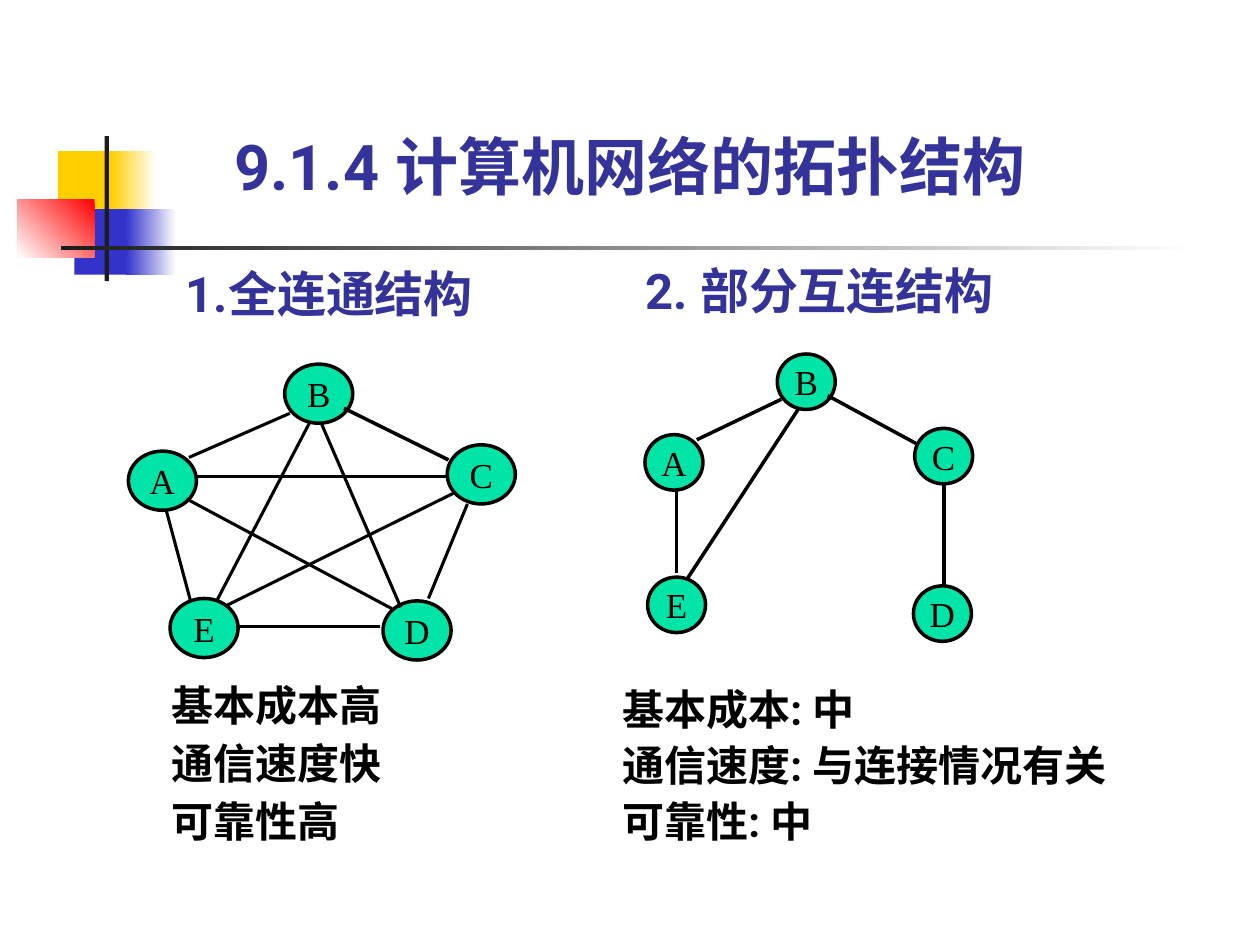
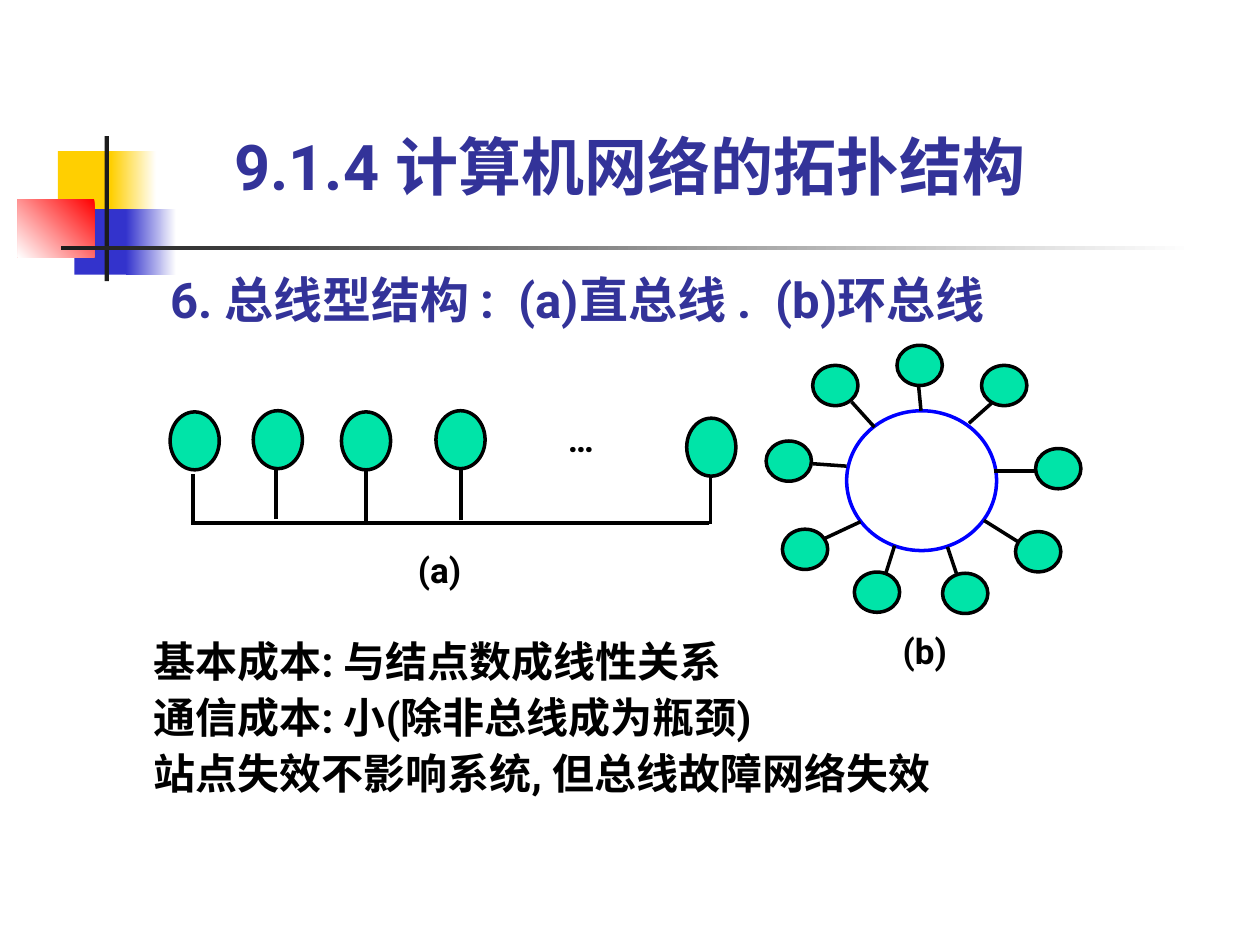
"""Build two slides on network topologies: mesh and partial links, then line and ring buses."""
from lxml import etree
from pptx import Presentation
from pptx.dml import color
from pptx.enum import shapes, text
from pptx.oxml import ns
from pptx.util import Pt

BLACK, INDIGO, GREEN, WHITE = "000000", "333399", "00E4A8", "FFFFFF"
YELLOW, BLUE, RED, CHARCOAL, RING_BLUE = "FFCF01", "3333CC", "FF0000", "1C1C1C", "0000FF"
LEFT, CENTER = text.PP_ALIGN.LEFT, text.PP_ALIGN.CENTER
TOP, MIDDLE, BOTTOM = text.MSO_ANCHOR.TOP, text.MSO_ANCHOR.MIDDLE, text.MSO_ANCHOR.BOTTOM


def rgb(hex_string):
    """Turn a hex string into a colour."""
    return color.RGBColor.from_string(hex_string)


def write_text(shape, content, size=24, font="Roboto", ink=BLACK, bold=True,
               align=LEFT, anchor=TOP, spacing=1.0, before=0):
    """Fill a shape with one paragraph per line of content."""
    frame = shape.text_frame
    frame.text = content
    frame.word_wrap = True
    frame.auto_size = text.MSO_AUTO_SIZE.NONE
    frame.vertical_anchor = anchor
    frame.margin_left = frame.margin_right = frame.margin_top = frame.margin_bottom = 0
    for index, paragraph in enumerate(frame.paragraphs):
        paragraph.alignment = align
        paragraph.line_spacing = spacing
        paragraph.space_before = Pt(before if index else 0)
        paragraph.font.name = font
        paragraph.font.size = Pt(size)
        paragraph.font.bold = bold
        paragraph.font.color.rgb = rgb(ink)


presentation = Presentation()
presentation.slide_width, presentation.slide_height = Pt(720), Pt(540)
layout = presentation.slide_layouts[5]
links_slide = presentation.slides.add_slide(layout)
bus_slide = presentation.slides.add_slide(layout)

# Shared decoration, moved to the layout: place, colours, gradient angle
decorations = [
    ((33.1, 86.4, 34.6, 37.4), [YELLOW], 0),
    ((63.4, 86.4, 25.9, 37.4), [YELLOW, WHITE], 0),
    ((42.5, 119.5, 33.1, 37.4), [BLUE], 0),
    ((72, 119.5, 28.8, 37.4), [BLUE, WHITE], 0),
    ((10.1, 113.8, 43.9, 33.1), [RED, WHITE], 225),
    ((59.8, 77.8, 2.4, 82.8), [CHARCOAL], 0),
    ((34.6, 140.4, 648, 2.4), [CHARCOAL, WHITE], 0),
]
for place, colours, angle in decorations:
    shape = links_slide.shapes.add_shape(shapes.MSO_SHAPE.RECTANGLE, *map(Pt, place))
    shape.shadow.inherit = False
    shape.line.fill.background()
    if len(colours) == 1:
        shape.fill.solid()
        shape.fill.fore_color.rgb = rgb(colours[0])
    else:
        shape.fill.gradient()
        shape.fill.gradient_angle = angle
        for stop, colour in zip(shape.fill.gradient_stops, colours):
            stop.color.rgb = rgb(colour)
    layout.shapes.element.append(shape.element)

for slide in (links_slide, bus_slide):
    title = slide.shapes.title
    title.left, title.top, title.width, title.height = map(Pt, (133.9, 73.4, 491.8, 42.5))
    write_text(title, "9.1.4 计算机网络的拓扑结构", size=36, ink=INDIGO,
               anchor=BOTTOM, spacing=0.8)

# Nodes: slide, size, then left, top and label of each
node_groups = [
    (links_slide, (38.9, 33.8), [
        (73.4, 257.8, "A"), (97.2, 342, "E"), (218.9, 343.4, "D"),
        (255.6, 254.2, "C"), (162.7, 208.1, "B")]),
    (links_slide, (33.1, 31.7), [
        (368.6, 248.4, "A"), (370.1, 329.8, "E"), (522, 334.8, "D"),
        (522.7, 244.8, "C"), (444.2, 202.3, "B")]),
    (bus_slide, (28.1, 33.1), [
        (97.2, 235.4, ""), (144.7, 234.7, ""), (195.1, 235.4, ""),
        (249.1, 234.7, ""), (392.4, 239, "")]),
    (bus_slide, (25.9, 23), [
        (464.4, 208.8, ""), (512.6, 197.3, ""), (560.9, 208.8, ""),
        (437.8, 252, ""), (447.1, 302.4, ""), (488.2, 326.9, ""),
        (538.6, 327.6, ""), (580.3, 303.8, ""), (591.8, 256.3, "")]),
]
for slide, size, nodes in node_groups:
    for left, top, label in nodes:
        node = slide.shapes.add_shape(shapes.MSO_SHAPE.OVAL, *map(Pt, (left, top, *size)))
        node.shadow.inherit = False
        node.fill.solid()
        node.fill.fore_color.rgb = rgb(GREEN)
        node.line.color.rgb = rgb(BLACK)
        node.line.width = Pt(2)
        if label:
            write_text(node, label, size=20, font="Times New Roman", bold=False,
                       align=CENTER, anchor=MIDDLE)

ring = bus_slide.shapes.add_shape(shapes.MSO_SHAPE.OVAL, *map(Pt, (483.8, 234.7, 85.7, 79.9)))
ring.shadow.inherit = False
ring.fill.background()
ring.line.color.rgb = rgb(RING_BLUE)
ring.line.width = Pt(2)

# Links: slide, line width, then start and end of each
link_groups = [
    (links_slide, 2, [
        (256.3, 272.2, 112.3, 272.2), (256.3, 262.8, 196.6, 233.3)]),
    (links_slide, 1.75, [
        (217.4, 357.8, 136.8, 357.8), (165.6, 236.2, 108, 261.4),
        (108.7, 342.7, 95, 291.6), (267.1, 288, 244.8, 342),
        (177.1, 241.2, 123.8, 343.4), (229, 347, 183.6, 241.9),
        (259.9, 281.5, 128.9, 346.3), (223.9, 347.8, 106.6, 285.1)]),
    (links_slide, 2, [
        (523.4, 253.4, 473, 226.1), (446.4, 228.2, 398.2, 251.3),
        (386.6, 327.6, 386.6, 279.4), (539.3, 277.2, 539.3, 334.8),
        (456.5, 233.3, 392.4, 331.2)]),
    (bus_slide, 2, [
        (405.4, 298.8, 109.4, 298.8), (110.2, 298.8, 110.2, 270.7),
        (157.7, 296.6, 157.7, 267.8), (209.2, 298, 209.2, 269.3),
        (263.5, 297.4, 263.5, 268.6), (406.1, 299.5, 406.1, 271.4)]),
    (bus_slide, 2, [
        (486.7, 229.7, 499.7, 244.1), (524.9, 220.3, 526.3, 234.7),
        (566.6, 230.4, 553.7, 241.9), (464.4, 265, 483.8, 266.4),
        (470.2, 308.2, 491.8, 298.1), (568.1, 269.3, 592.6, 269.3),
        (562.3, 297.4, 581.8, 309.6), (541.4, 312.5, 546.5, 327.6),
        (511.2, 311.8, 506.2, 327.6)]),
]
for slide, width, links in link_groups:
    for ends in links:
        link = slide.shapes.add_connector(shapes.MSO_CONNECTOR.STRAIGHT, *map(Pt, ends))
        link.line.color.rgb = rgb(BLACK)
        link.line.width = Pt(width)
        etree.SubElement(link.element.spPr, ns.qn("a:effectLst"))

heading = {"size": 28, "ink": INDIGO, "align": CENTER, "anchor": MIDDLE}
caption = {"size": 20, "align": CENTER, "anchor": MIDDLE}
remarks = {"spacing": 0.9, "before": 6}
text_boxes = [
    (links_slide, (97.5, 150.5, 181.4, 33.8), "1.全连通结构", heading),
    (links_slide, (352.1, 149, 232.6, 33.8), "2. 部分互连结构", heading),
    (links_slide, (97.9, 383.8, 163.4, 99.4),
     "基本成本高\n通信速度快\n可靠性高", {"spacing": 1.15}),
    (links_slide, (355.7, 393.8, 306.7, 90),
     "基本成本: 中\n通信速度: 与连接情况有关\n可靠性: 中", remarks),
    (bus_slide, (97.2, 154.1, 509.8, 33.8),
     "6. 总线型结构 :  (a)直总线 .  (b)环总线", {**heading, "align": LEFT}),
    (bus_slide, (298.5, 234, 67, 33.1), "…", caption),
    (bus_slide, (227.5, 308.9, 47.5, 33.1), "(a)", caption),
    (bus_slide, (501.1, 355, 54.7, 33.8), "(b)", caption),
    (bus_slide, (87.8, 366.5, 483.1, 90),
     "基本成本: 与结点数成线性关系\n通信成本: 小(除非总线成为瓶颈)\n"
     "站点失效不影响系统, 但总线故障网络失效", remarks),
]
for slide, place, content, style in text_boxes:
    write_text(slide.shapes.add_textbox(*map(Pt, place)), content, **style)

presentation.save("out.pptx")
